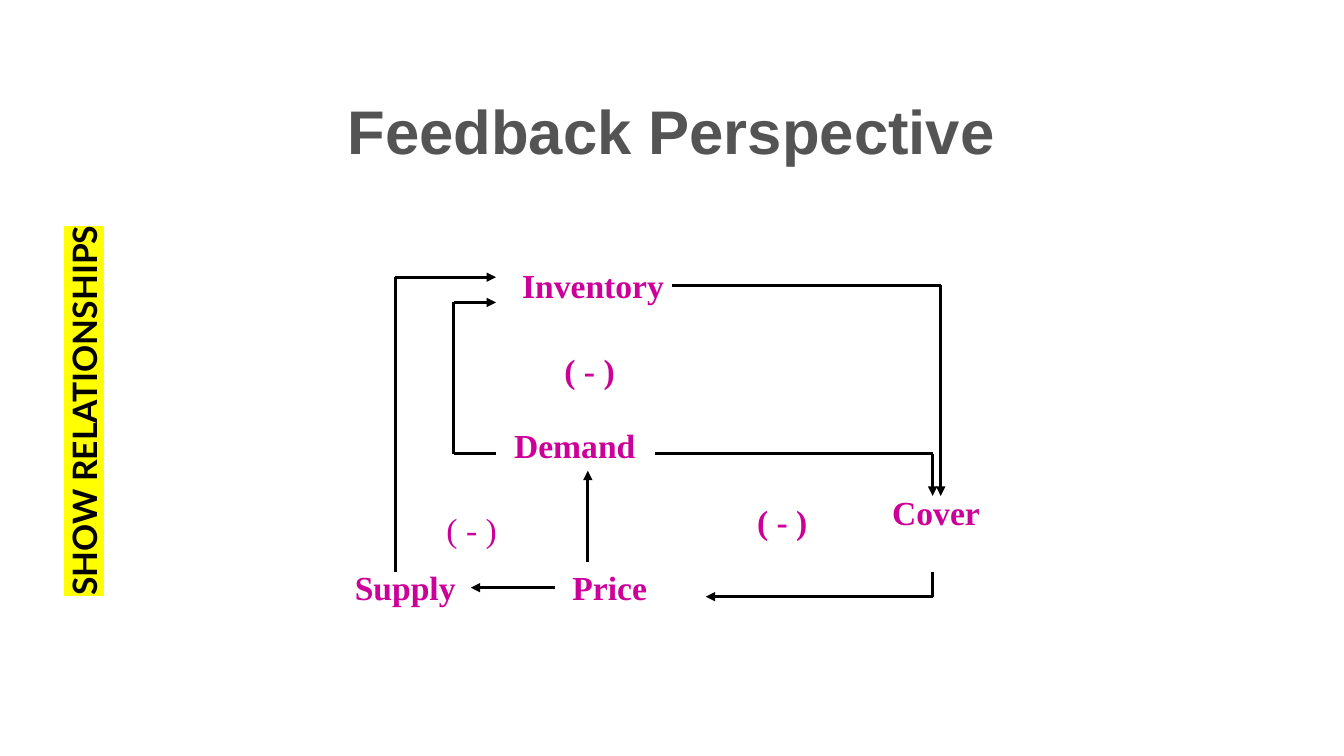
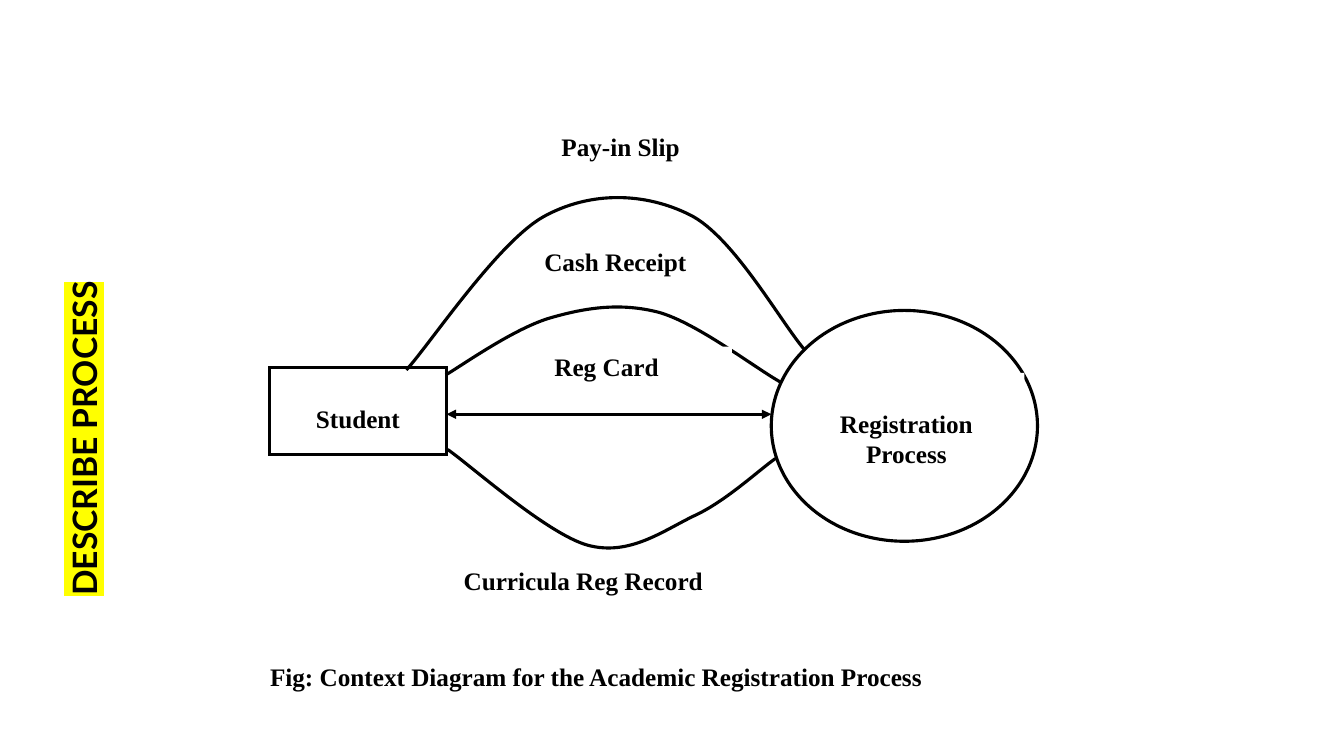
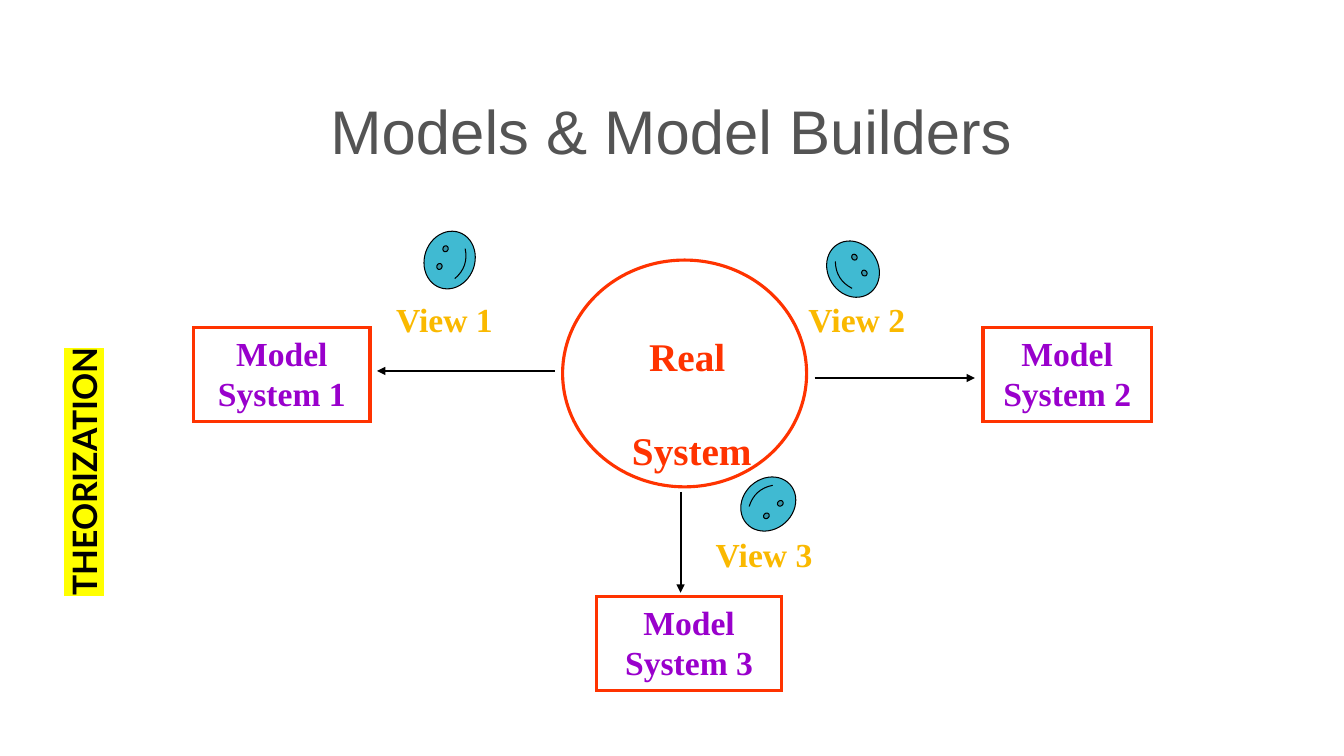
from lxml import etree
from pptx import Presentation
from pptx import util as u
from pptx.dml.color import RGBColor
from pptx.enum import shapes, text
from pptx.oxml.ns import qn

Inches = u.Inches
rgb = RGBColor.from_string
BLACK, WHITE, GREY, YELLOW = "000000", "FFFFFF", "545454", "FFFF00"
MAGENTA, RED, PURPLE, AMBER, TEAL = "CC0099", "FF3300", "9900CC", "FAB900", "40BAD2"
RECT, OVAL, SMILEY = (shapes.MSO_SHAPE.RECTANGLE, shapes.MSO_SHAPE.OVAL,
                      shapes.MSO_SHAPE.SMILEY_FACE)
CENTER, LEFT = text.PP_ALIGN.CENTER, text.PP_ALIGN.LEFT


def box(s, at, lines=(), kind=None, fill=None, line=None, width=2.25, size=24,
        color=BLACK, bold=True, font="Times New Roman", align=LEFT, indent=0,
        inset=(0.1, 0.05)):
    """Add a text box, or a preset shape when kind is given."""
    at = [Inches(v) for v in at]
    sp = s.shapes.add_shape(kind, *at) if kind else s.shapes.add_textbox(*at)
    if kind:
        sp.shadow.inherit = False
    if fill:
        sp.fill.solid()
        sp.fill.fore_color.rgb = rgb(fill)
    else:
        sp.fill.background()
    if line:
        sp.line.color.rgb = rgb(line)
        sp.line.width = u.Pt(width)
        if kind == RECT:
            etree.SubElement(sp.line._get_or_add_ln(), qn("a:miter"), lim="800000")
    else:
        sp.line.fill.background()
    tf = sp.text_frame
    side, top = (Inches(v) for v in inset)
    fmt = dict(word_wrap=True, vertical_anchor=text.MSO_ANCHOR.TOP,
               margin_left=side, margin_right=side, margin_top=top,
               margin_bottom=Inches(0.05))
    for key, value in fmt.items():
        setattr(tf, key, value)
    for i, words in enumerate(lines):
        p = tf.add_paragraph() if i else tf.paragraphs[0]
        p.alignment = align
        if indent and i == 0:
            p._p.get_or_add_pPr().set("marL", str(Inches(indent)))
        r = p.add_run()
        r.text = words
        for key, value in dict(name=font, size=u.Pt(size), bold=bold).items():
            setattr(r.font, key, value)
        r.font.color.rgb = rgb(color)
    return sp


def route(s, points, ends=("tailEnd",), width=2.25):
    """Join points with straight connectors; arrowheads go on the last one."""
    for a, b in zip(points, points[1:]):
        c = s.shapes.add_connector(shapes.MSO_CONNECTOR.STRAIGHT,
                                   *[Inches(v) for v in a + b])
        c.line.color.rgb = rgb(BLACK)
        c.line.width = u.Pt(width)
        etree.SubElement(c._element.spPr, qn("a:effectLst"))
    ln = c.line._get_or_add_ln()
    for end in ends:
        etree.SubElement(ln, qn("a:" + end), type="triangle")


prs = Presentation()
prs.slide_width, prs.slide_height = Inches(13.33), Inches(7.5)

# Titles and highlighted side labels
slides = []
for title, bold, side_label in [("Feedback Perspective", True, "SHOW RELATIONSHIPS"),
                                (None, False, "DESCRIBE PROCESS"),
                                ("Models & Model Builders", False, "THEORIZATION")]:
    s = prs.slides.add_slide(prs.slide_layouts[5 if title else 6])
    slides.append(s)
    if title:
        sp = s.shapes.title
        place = dict(left=2.41, top=0.66, width=8.5, height=1.25)
        for key, value in place.items():
            setattr(sp, key, Inches(value))
        sp.text_frame.text = title
        sp.text_frame.vertical_anchor = text.MSO_ANCHOR.MIDDLE
        p = sp.text_frame.paragraphs[0]
        p.alignment = CENTER
        for key, value in dict(name="Arial", size=u.Pt(44), bold=bold).items():
            setattr(p.runs[0].font, key, value)
        p.runs[0].font.color.rgb = rgb(GREY)
    sp = box(s, (0.58, 0.65, 0.61, 5.36), [side_label], font="Lato")
    sp.text_frame._txBody.bodyPr.set("vert", "vert270")
    mark = etree.Element(qn("a:highlight"))
    etree.SubElement(mark, qn("a:srgbClr"), val=YELLOW)
    rPr = sp.text_frame.paragraphs[0].runs[0]._r.rPr
    rPr.find(qn("a:solidFill")).addnext(mark)

# Slide 1: feedback loops
s = slides[0]
for words, x, y, w, indent, bold in [("Cover", 8.75, 4.83, 1.58, 0, True),
                                     ("Inventory", 5.08, 2.58, 1.67, 0, True),
                                     ("Price", 5.08, 5.58, 2, 0.5, True),
                                     ("Demand", 5, 4.17, 1.42, 0, True),
                                     ("Supply", 3.42, 5.58, 1.25, 0, True),
                                     ("( - )", 6.83, 4.92, 1.42, 0.58, True),
                                     ("( - )", 5.33, 3.42, 1.33, 0.17, True),
                                     ("( - )", 4.33, 5, 1.17, 0, False)]:
    box(s, (x, y, w, 0.5), [words], color=MAGENTA, bold=bold, indent=indent)
for points in [
    [(6.5, 4.5), (9.25, 4.5), (9.25, 4.92)],             # demand to cover
    [(9.25, 5.67), (9.25, 5.92), (7, 5.92)],             # cover to price
    [(5.83, 5.58), (5.83, 4.67)],                        # price to demand
    [(4.92, 4.5), (4.5, 4.5), (4.5, 3), (4.92, 3)],      # demand to inventory
    [(6.67, 2.83), (9.33, 2.83), (9.33, 4.92)],          # inventory to cover
    [(5.5, 5.83), (4.67, 5.83)],                         # price to supply
    [(3.92, 5.67), (3.92, 2.75), (4.92, 2.75)],          # supply to inventory
]:
    route(s, points)

# Slide 2: context diagram
s = slides[1]
entity = dict(kind=RECT, fill=WHITE, size=18, align=CENTER, inset=(0.2, 0.35))
box(s, (2.67, 3.65, 1.76, 0.86), ["Student"], line=BLACK, **entity)
box(s, (7.65, 3.08, 2.64, 2.29), kind=OVAL, fill=WHITE, line=BLACK)
box(s, (7.82, 3.7, 2.34, 0.86), ["Registration Process"], **entity)
flow = dict(kind=RECT, fill=WHITE, size=18)
box(s, (4.72, 2.39, 2.64, 0.57), ["Cash Receipt"], indent=0.58, **flow)

# Curved flows: a start point, then three points for each cubic curve
for knots in [
    [(4.42, 3.72), (4.59, 3.62), (5.11, 3.25), (5.47, 3.15), (5.82, 3.05),
     (6.16, 3), (6.54, 3.1), (6.92, 3.21), (7.49, 3.65), (7.74, 3.79)],
    [(4.44, 4.46), (4.67, 4.62), (5.43, 5.3), (5.83, 5.41), (6.24, 5.52),
     (6.57, 5.27), (6.88, 5.12), (7.19, 4.98), (7.52, 4.67), (7.69, 4.55)],
    [(4.03, 3.67), (4.26, 3.42), (4.93, 2.41), (5.39, 2.15), (5.86, 1.89),
     (6.4, 1.91), (6.84, 2.13), (7.27, 2.34), (7.74, 3.19), (7.98, 3.47)],
]:
    points = [(Inches(x), Inches(y)) for x, y in knots]
    fb = s.shapes.build_freeform(*points[0])
    fb.add_line_segments(points[1:], close=False)
    sp = fb.convert_to_shape()
    outline = next(sp._element.iter(qn("a:path")))
    segments = outline.findall(qn("a:lnTo"))
    for i in range(0, len(segments), 3):
        curve = etree.SubElement(outline, qn("a:cubicBezTo"))
        for segment in segments[i:i + 3]:
            curve.append(segment[0])
            outline.remove(segment)
    sp.shadow.inherit = False
    sp.fill.background()
    sp.line.color.rgb = rgb(BLACK)
    sp.line.width = u.Pt(2.25)

route(s, [(4.43, 4.11), (7.65, 4.11)], ends=("headEnd", "tailEnd"))
for words, x, y, w, indent in [
    ("Reg Card", 5.21, 3.44, 2.05, 0.19),
    ("Curricula Reg Record", 4, 5.56, 3.82, 0.5),
    ("Fig: Context Diagram for the Academic Registration Process", 2.08, 6.51, 9.08, 0.5),
    ("Pay-in Slip", 5.16, 1.25, 2.05, 0.31),
]:
    box(s, (x, y, w, 0.57), [words], indent=indent, **flow)

# Slide 3: one real system, three models
s = slides[2]
box(s, (5.58, 2.58, 2.42, 2.25), kind=OVAL, fill=WHITE, line=RED)
sp = box(s, (6.17, 3.25, 1.5, 1.03), ["Real", "System"], size=28, color=RED, indent=0.17)
sp.text_frame.paragraphs[1].space_before = u.Pt(33.5)
views = [  # model box, view label, face and its rotation, arrow
    ((1.92, 3.25, 1.75), (3.83, 2.92), (4.17, 2.33), 289, [(5.5, 3.68), (3.74, 3.68)]),
    ((9.75, 3.25, 1.67), (7.92, 2.92), (8.17, 2.42), 58, [(8.08, 3.75), (9.67, 3.75)]),
    ((5.92, 5.92, 1.83), (7, 5.25), (7.33, 4.75), 138, [(6.75, 4.88), (6.75, 5.88)]),
]
for n, (model, view, face, turn, arrow) in enumerate(views, 1):
    box(s, model + (0.93,), [f"Model System {n}"], kind=RECT, line=RED,
        color=PURPLE, align=CENTER)
    route(s, arrow, width=1.5)
    box(s, view + (1.67, 0.5), [f"View {n}"], color=AMBER)
    sp = box(s, face + (0.58, 0.5), kind=SMILEY, fill=TEAL, line=BLACK, width=0.75)
    sp.rotation = turn

prs.save("out.pptx")
